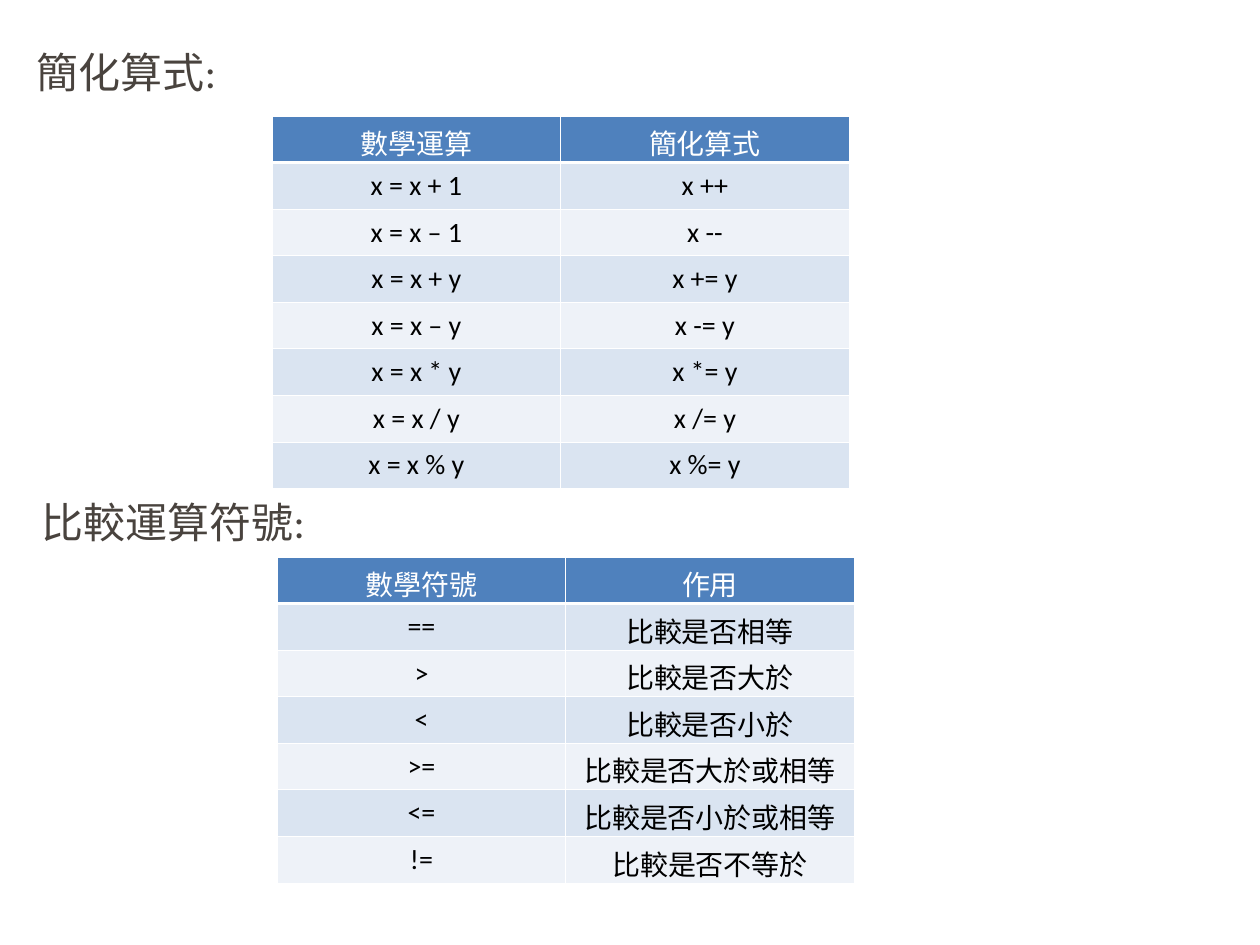
from lxml import etree
from pptx import Presentation
from pptx.dml.color import RGBColor
from pptx.enum.text import MSO_ANCHOR, MSO_AUTO_SIZE, PP_ALIGN
from pptx.oxml.ns import qn
from pptx.util import Inches, Pt

CENTER = PP_ALIGN.CENTER
TOP = MSO_ANCHOR.TOP
GROW = MSO_AUTO_SIZE.SHAPE_TO_FIT_TEXT

WHITE = RGBColor(0xFF, 0xFF, 0xFF)
BLACK = RGBColor(0x00, 0x00, 0x00)
BROWN = RGBColor(0x49, 0x43, 0x3E)
BLUE = RGBColor(0x4F, 0x81, 0xBD)
BANDS = [RGBColor(0xEE, 0xF2, 0xF8), RGBColor(0xDA, 0xE4, 0xF1)]

FONT = "Calibri"
COL_W = 2.29
ROW_H = 0.37
THIN, THICK = 0.45, 1.47

MATH = [
    ("數學運算", "簡化算式"),
    ("x = x + 1", "x ++"),
    ("x = x – 1", "x --"),
    ("x = x + y", "x += y"),
    ("x = x – y", "x -= y"),
    ("x = x * y", "x *= y"),
    ("x = x / y", "x /= y"),
    ("x = x % y", "x %= y"),
]
COMPARE = [
    ("數學符號", "作用"),
    ("==", "比較是否相等"),
    (">", "比較是否大於"),
    ("<", "比較是否小於"),
    (">=", "比較是否大於或相等"),
    ("<=", "比較是否小於或相等"),
    ("!=", "比較是否不等於"),
]


def write(frame, text, size=16, color=BLACK):
    para = frame.paragraphs[0]
    para.alignment = CENTER
    run = para.add_run()
    run.text = text
    font = run.font
    font.name, font.size, font.bold = FONT, Pt(size), False
    font.color.rgb = color


def edge(cell, side, width):
    line = etree.Element(qn(f"a:ln{side}"), w=str(Pt(width)))
    fill = etree.SubElement(line, qn("a:solidFill"))
    etree.SubElement(fill, qn("a:srgbClr"), val=str(WHITE))
    return line


def border(cell, row):
    # Borders come before the fill; a thick rule sits under the header
    widths = {
        "L": THIN,
        "R": THIN,
        "T": THICK if row == 1 else THIN,
        "B": THICK if row == 0 else THIN,
    }
    props = cell._tc.get_or_add_tcPr()
    for spot, (side, width) in enumerate(widths.items()):
        props.insert(spot, edge(cell, side, width))


def heading(shape, text, left, top, width):
    shape.left, shape.top = Inches(left), Inches(top)
    shape.width, shape.height = Inches(width), Inches(0.48)
    frame = shape.text_frame
    frame.margin_left = frame.margin_right = Inches(0.04)
    frame.margin_top = frame.margin_bottom = Inches(0.04)
    frame.vertical_anchor = TOP
    frame.word_wrap = False
    frame.auto_size = GROW
    write(frame, text, size=24, color=BROWN)


def grid(slide, data, left, top, foot=0.05):
    table = slide.shapes.add_table(
        len(data), 2, Inches(left), Inches(top),
        Inches(2 * COL_W), Inches(len(data) * ROW_H)).table
    for col in table.columns:
        col.width = Inches(COL_W)
    for r, texts in enumerate(data):
        table.rows[r].height = Inches(ROW_H)
        for c, text in enumerate(texts):
            cell = table.cell(r, c)
            cell.margin_left = cell.margin_right = Inches(0.04)
            cell.margin_top, cell.margin_bottom = Inches(0.05), Inches(foot)
            cell.fill.solid()
            cell.fill.fore_color.rgb = BANDS[r % 2] if r else BLUE
            border(cell, r)
            write(cell.text_frame, text, color=BLACK if r else WHITE)


def main():
    deck = Presentation()
    deck.slide_width, deck.slide_height = Inches(10), Inches(7.5)
    slide = deck.slides.add_slide(deck.slide_layouts[5])

    # Shorthand operators
    heading(slide.shapes.title, "簡化算式:", 0.21, 0.33, 1.59)
    grid(slide, MATH, 2.16, 0.92)

    # Comparison operators; no foot margin keeps the rows even
    box = slide.shapes.add_textbox(0, 0, 0, 0)
    heading(box, "比較運算符號:", 0.25, 3.9, 2.25)
    grid(slide, COMPARE, 2.2, 4.42, foot=0)

    deck.save("out.pptx")


if __name__ == "__main__":
    main()
